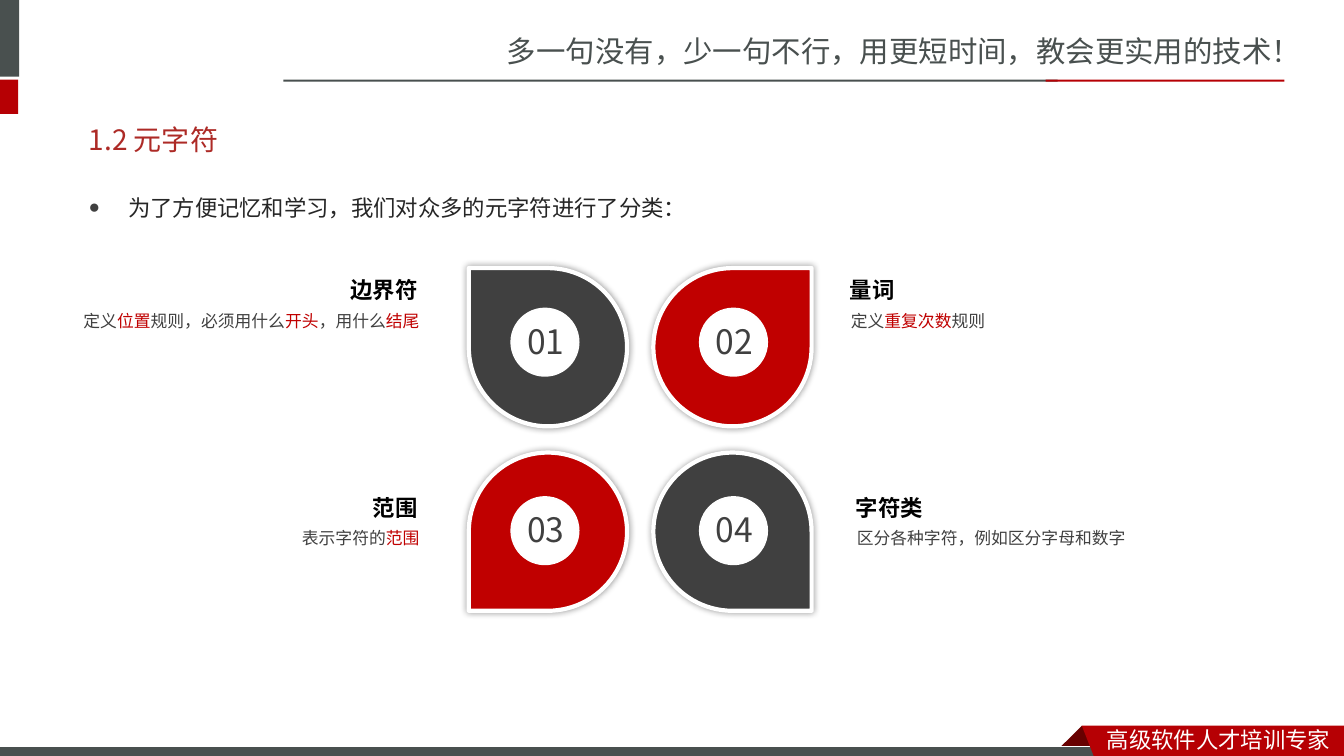
"""Builds the slide that sorts regex metacharacters into four categories."""
from lxml import etree
from pptx import Presentation
from pptx.dml.color import RGBColor
from pptx.enum.shapes import MSO_SHAPE
from pptx.enum.text import MSO_ANCHOR, PP_ALIGN
from pptx.oxml.ns import qn
from pptx.util import Inches, Pt

RECTANGLE, TEARDROP, ELLIPSE = MSO_SHAPE.RECTANGLE, MSO_SHAPE.TEAR, MSO_SHAPE.OVAL
LEFT, RIGHT = PP_ALIGN.LEFT, PP_ALIGN.RIGHT
TOP, MIDDLE = MSO_ANCHOR.TOP, MSO_ANCHOR.MIDDLE

WHITE = RGBColor(0xFF, 0xFF, 0xFF)
RING = RGBColor(0xFE, 0xFE, 0xFE)
BLACK = RGBColor(0, 0, 0)
SLATE = RGBColor(0x49, 0x50, 0x4F)
CRIMSON = RGBColor(0xB6, 0x00, 0x04)
MAROON = RGBColor(0x68, 0x00, 0x00)
CHARCOAL = RGBColor(0x40, 0x40, 0x40)
RED = RGBColor(0xC0, 0x00, 0x00)
TITLE_RED = RGBColor(0xAD, 0x2A, 0x26)
INK = RGBColor(0x26, 0x26, 0x26)

FONT_SC = "Noto Sans CJK SC"
FONT_JP = "Noto Sans CJK JP"


class SlideBuilder:
    """Holds the slide and draws each kind of element in its style."""

    def __init__(self, slide):
        self.slide = slide
        self.shapes = slide.shapes

    def style_run(self, run, size, color, font=FONT_JP, bold=False, east_asian=None):
        run.font.size = Pt(size)
        run.font.color.rgb = color
        run.font.name = font
        run.font.bold = bold
        latin = run.font._element.find(qn("a:latin"))
        fallback = etree.Element(qn("a:ea"), typeface=east_asian or font)
        latin.addnext(fallback)

    def paint(self, shape, fill, line=None, width=0):
        shape.shadow.inherit = False
        shape.fill.solid()
        shape.fill.fore_color.rgb = fill
        if line is None:
            shape.line.fill.background()
        else:
            shape.line.color.rgb = line
            shape.line.width = Pt(width)
        return shape

    def preset(self, kind, box, fill, line=None, width=0):
        shape = self.shapes.add_shape(kind, *map(Inches, box))
        return self.paint(shape, fill, line, width)

    def outline(self, points, fill):
        corners = [(Inches(x), Inches(y)) for x, y in points]
        builder = self.shapes.build_freeform(*corners[0])
        builder.add_line_segments(corners[1:], close=True)
        return self.paint(builder.convert_to_shape(), fill)

    def label(self, box, pieces, size, align=LEFT, wrap=True, font=FONT_JP, bold=False):
        frame = self.shapes.add_textbox(*map(Inches, box)).text_frame
        frame.word_wrap = wrap
        paragraph = frame.paragraphs[0]
        paragraph.alignment = align
        for wording, color in pieces:
            run = paragraph.add_run()
            run.text = wording
            self.style_run(run, size, color, font, bold)

    def placeholder(self, holder, box, wording, anchor):
        holder.left, holder.top, holder.width, holder.height = map(Inches, box)
        frame = holder.text_frame
        frame.text = wording
        frame.vertical_anchor = anchor
        paragraph = frame.paragraphs[0]
        paragraph.alignment = LEFT
        return paragraph

    def title(self, box, wording):
        heading = self.placeholder(self.shapes.title, box, wording, MIDDLE)
        self.style_run(heading.runs[0], 20, TITLE_RED)

    def bullet(self, box, wording):
        item = self.placeholder(self.slide.placeholders[1], box, wording, TOP)
        item.line_spacing = 1.5
        item.space_before = Pt(3.2)
        self.style_run(item.runs[0], 16, INK, "Arial", east_asian=FONT_SC)
        properties = item._p.get_or_add_pPr()
        properties.set("marL", str(Inches(0.39)))
        properties.set("indent", str(Inches(-0.39)))
        color = etree.SubElement(properties, qn("a:buClr"))
        etree.SubElement(color, qn("a:srgbClr"), val=str(CHARCOAL))
        etree.SubElement(properties, qn("a:buSzPct"), val="85000")
        etree.SubElement(properties, qn("a:buFont"), typeface="Arial")
        etree.SubElement(properties, qn("a:buChar"), char="●")

    def petal(self, box, fill, flip_h, flip_v):
        petal = self.preset(TEARDROP, box, fill, WHITE, 3)
        properties = petal._element.spPr
        transform = properties.find(qn("a:xfrm"))
        transform.set("flipH", str(int(flip_h)))
        transform.set("flipV", str(int(flip_v)))
        effects = properties.find(qn("a:effectLst"))
        shadow = etree.SubElement(effects, qn("a:outerShdw"), blurRad=str(Pt(5)),
                                  dist="0", dir="0", algn="ctr", rotWithShape="0")
        color = etree.SubElement(shadow, qn("a:srgbClr"), val=str(BLACK))
        etree.SubElement(color, qn("a:alpha"), val="40000")

    def category(self, index, name, rule, text_left, text_right):
        row, column = divmod(index, 2)
        fill = CHARCOAL if row == column else RED
        self.petal((4.65 + 1.83 * column, 2.66 + 1.83 * row, 1.57, 1.57),
                   fill, column == 0, row == 1)
        hub_left, hub_top = 5.07 + 1.87 * column, 3.06 + 1.87 * row
        self.preset(ELLIPSE, (hub_left, hub_top, 0.67, 0.67), WHITE, RING, 1.13)
        self.label((hub_left + 0.06, hub_top + 0.07, 0.59, 0.5),
                   [(f"{index + 1:02}", CHARCOAL)], 24, wrap=False)
        align = LEFT if column else RIGHT
        name_top = 2.69 + 2.16 * row
        width = text_right - text_left
        self.label((text_left, name_top, width - 0.02, 0.37), [(name, BLACK)],
                   16, align, bold=True)
        rule_left = text_left + 0.01 * column
        self.label((rule_left, name_top + 0.34, width, 0.3), rule, 12, align)


def main():
    deck = Presentation()
    deck.slide_width, deck.slide_height = Inches(13.33), Inches(7.5)
    page = SlideBuilder(deck.slides.add_slide(deck.slide_layouts[1]))

    page.label((4.93, 0.28, 8.41, 0.47),
               [("多一句没有，少一句不行，用更短时间，教会更实用的技术！", SLATE)], 21, font=FONT_SC)
    for box, fill in (
        ((-0.06, 0, 0.25, 0.76), SLATE),
        ((-0.06, 0.79, 0.24, 0.34), CRIMSON),
        ((2.81, 0.79, 7.68, 0.02), SLATE),
        ((10.37, 0.79, 2.37, 0.02), CRIMSON),
    ):
        page.preset(RECTANGLE, box, fill)

    page.outline([(10.73, 7.2), (10.95, 7.42), (10.94, 7.43), (10.52, 7.43), (10.51, 7.42)],
                 MAROON)
    page.preset(RECTANGLE, (-0.01, 7.41, 11, 0.12), SLATE, WHITE, 0.75)
    page.outline([(10.73, 7.2), (13.33, 7.2), (13.33, 7.54), (10.86, 7.53)], CRIMSON)
    page.label((10.88, 7.15, 2.45, 0.37), [("高级软件人才培训专家", WHITE)], 16, font=FONT_SC)

    page.bullet((0.78, 1.74, 11.72, 4.98), "为了方便记忆和学习，我们对众多的元字符进行了分类：")
    page.title((0.78, 1.1, 11.72, 0.57), "1.2 元字符")

    categories = [
        ("边界符", [("定义", CHARCOAL), ("位置", RED), ("规则，必须用什么", CHARCOAL),
                 ("开头", RED), ("，用什么", CHARCOAL), ("结尾", RED)], 0.63, 4.26),
        ("量词", [("定义", CHARCOAL), ("重复次数", RED), ("规则", CHARCOAL)], 8.33, 11.61),
        ("范围", [("表示字符的", CHARCOAL), ("范围", RED)], 1.26, 4.26),
        ("字符类", [("区分各种字符，例如区分字母和数字", CHARCOAL)], 8.39, 11.67),
    ]
    for index, (name, rule, text_left, text_right) in enumerate(categories):
        page.category(index, name, rule, text_left, text_right)

    deck.save("out.pptx")


if __name__ == "__main__":
    main()
